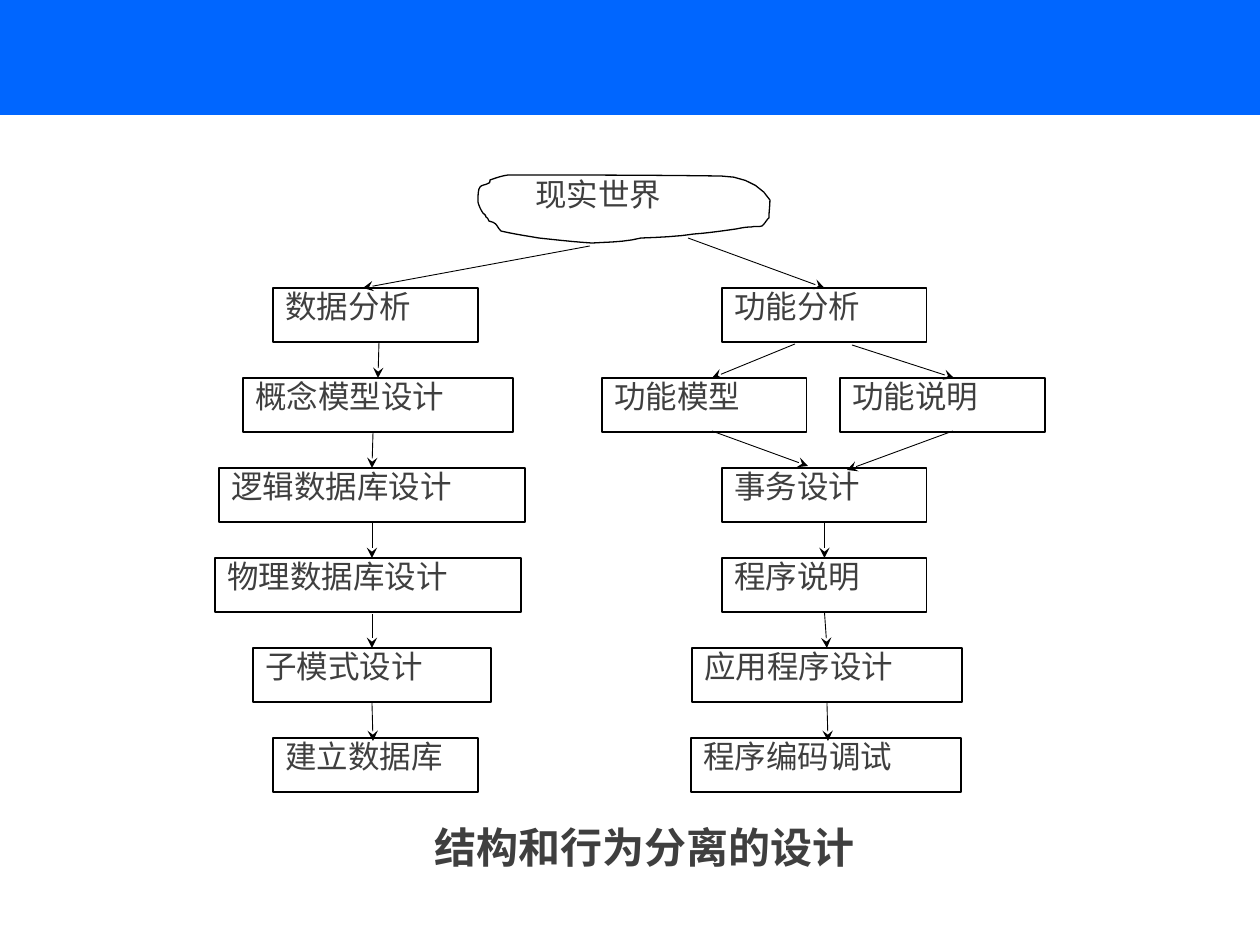
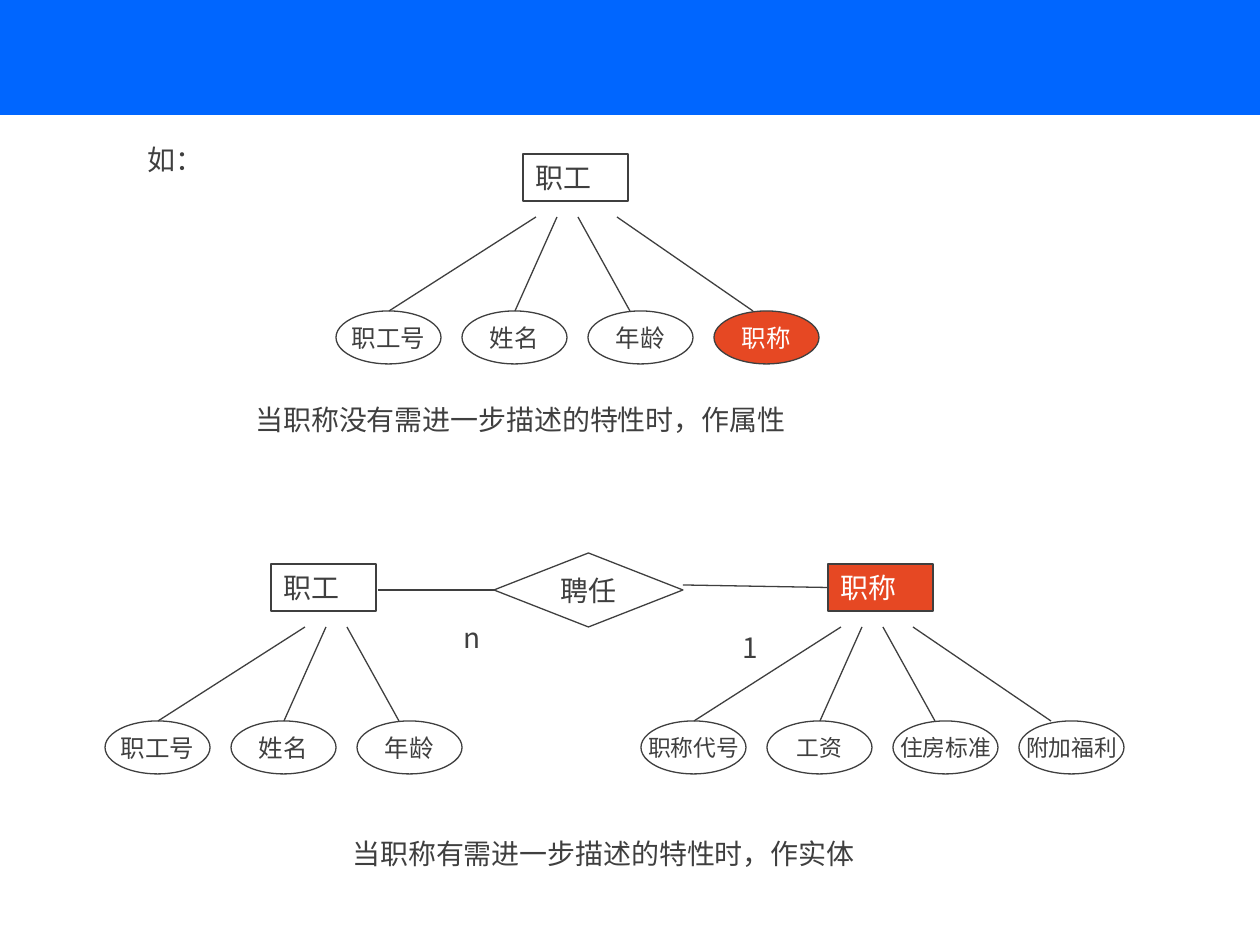
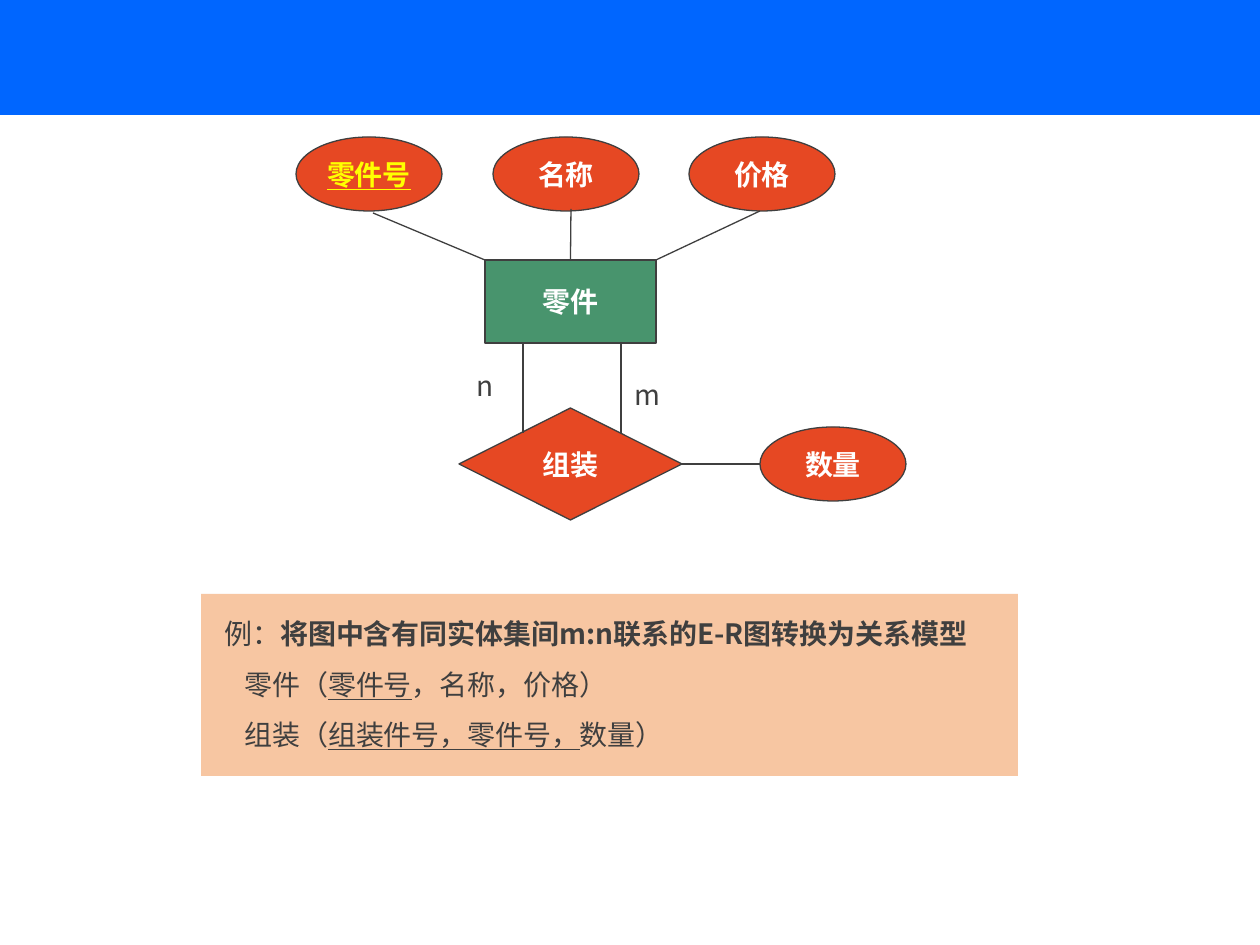
import pptx
import pptx.util
import pptx.dml.color
import pptx.enum.shapes
import pptx.enum.text
import pptx.oxml.ns
from lxml import etree

PX = 914400 // 126
DARK, BLACK, WHITE, YELLOW = "3F3F3F", "000000", "FFFFFF", "FFFF00"
BLUE, RED, GREEN, PEACH = "0066FF", "E64823", "48946D", "F7C6A2"
FONT = "Noto Sans CJK SC"

rgb = pptx.dml.color.RGBColor.from_string
qn = pptx.oxml.ns.qn
Pt = pptx.util.Pt
SHAPE = pptx.enum.shapes.MSO_SHAPE
ALIGN = pptx.enum.text.PP_ALIGN
ANCHOR = pptx.enum.text.MSO_ANCHOR


def box(s, kind, at, text="", fill=None, line=None, color=DARK, size=16,
        center=False, middle=False, wrap=True, spacing=None, **font):
    at = [v * PX for v in at]
    if kind is None:
        sp = s.shapes.add_textbox(*at)
    else:
        sp = s.shapes.add_shape(kind, *at)
        sp.shadow.inherit = False
        if fill:
            sp.fill.solid()
            sp.fill.fore_color.rgb = rgb(fill)
        else:
            sp.fill.background()
        if line:
            sp.line.color.rgb = rgb(line)
            sp.line.width = Pt(0.75)
        else:
            sp.line.fill.background()
    tf = sp.text_frame
    tf.word_wrap = wrap
    tf.vertical_anchor = ANCHOR.MIDDLE if middle else ANCHOR.TOP
    paragraphs = [[(text, {})]] if isinstance(text, str) else text
    for i, runs in enumerate(paragraphs):
        p = tf.add_paragraph() if i else tf.paragraphs[0]
        p.alignment = ALIGN.CENTER if center else ALIGN.LEFT
        if spacing:
            p.line_spacing = spacing
        for words, extra in runs:
            if not words:
                continue
            r = p.add_run()
            r.text = words
            for key, value in {"name": FONT, "size": Pt(size), **font, **extra}.items():
                setattr(r.font, key, value)
            r.font.color.rgb = rgb(color)
            etree.SubElement(r.font._element, qn("a:ea"), typeface=FONT)
    return sp


def link(s, x1, y1, x2, y2, color=DARK, width=0.75, arrow=False):
    straight = pptx.enum.shapes.MSO_CONNECTOR.STRAIGHT
    c = s.shapes.add_connector(straight, x1 * PX, y1 * PX, x2 * PX, y2 * PX)
    c.line.color.rgb = rgb(color)
    c.line.width = Pt(width)
    if arrow:
        etree.SubElement(c.line._get_or_add_ln(), qn("a:tailEnd"), type="stealth")
    etree.SubElement(c._element.spPr, qn("a:effectLst"))
    return c


prs = pptx.Presentation()
prs.slide_width = 1260 * PX
prs.slide_height = 945 * PX
slides = []
for _ in range(3):
    s = prs.slides.add_slide(prs.slide_layouts[6])
    box(s, SHAPE.RECTANGLE, (0, 0, 1260, 115), fill=BLUE)
    slides.append(s)

s = slides[0]
cloud = [
    (496, 178, 501, 176, 508, 175), (578, 175, 650, 175, 721, 176),
    (743, 176, 762, 186, 770, 200), (770, 207, 769, 212, 769, 218),
    (767, 219, 765, 224, 762, 226), (759, 227, 755, 226, 751, 227),
    (746, 227, 741, 228, 736, 229), (722, 231, 708, 233, 694, 234),
    (677, 237, 641, 238, 641, 238), (626, 242, 609, 242, 592, 243),
    (575, 242, 558, 240, 539, 238), (527, 236, 514, 234, 501, 231),
    (496, 226, 498, 223, 489, 221), (488, 219, 488, 218, 486, 217),
    (486, 215, 484, 214, 483, 213), (481, 210, 479, 206, 478, 202),
    (478, 198, 478, 193, 479, 189), (481, 184, 484, 186, 489, 183),
    (490, 183, 490, 181, 490, 180),
]
x, y = 490, 180
fb = s.shapes.build_freeform(x * PX, y * PX)
points = []
for x1, y1, x2, y2, x3, y3 in cloud:
    for t in (0.2, 0.4, 0.6, 0.8, 1):
        u = 1 - t
        a, b, c, d = u ** 3, 3 * u * u * t, 3 * u * t * t, t ** 3
        points.append((round((a * x + b * x1 + c * x2 + d * x3) * PX),
                       round((a * y + b * y1 + c * y2 + d * y3) * PX)))
    x, y = x3, y3
fb.add_line_segments(points, close=True)
sp = fb.convert_to_shape()
sp.shadow.inherit = False
sp.fill.background()
sp.line.color.rgb = rgb(BLACK)
sp.line.width = Pt(0.75)
box(s, None, (523, 176, 198, 66), "现实世界", size=18, spacing=0.8)

steps = [
    ("数据分析", 273, 0, 205), ("概念模型设计", 243, 1, 270),
    ("逻辑数据库设计", 219, 2, 306), ("物理数据库设计", 215, 3, 306),
    ("子模式设计", 253, 4, 238), ("建立数据库", 273, 5, 205),
    ("功能分析", 722, 0, 205), ("功能模型", 602, 1, 205),
    ("功能说明", 840, 1, 205), ("事务设计", 722, 2, 205),
    ("程序说明", 722, 3, 205), ("应用程序设计", 692, 4, 270),
    ("程序编码调试", 691, 5, 270),
]
boxes = {}
for name, x, row, w in steps:
    boxes[name] = box(s, SHAPE.RECTANGLE, (x, 288 + 90 * row, w, 54), name,
                      line=BLACK, size=18, spacing=0.8)

arrows = [
    (590, 246, 363, 288, None, None),
    (379, 342, 379, 378, None, "概念模型设计"),
    (373, 433, 373, 468, None, "逻辑数据库设计"),
    (372, 523, 372, 558, "逻辑数据库设计", None),
    (372, 614, 372, 648, None, "子模式设计"),
    (373, 704, 373, 741, "子模式设计", None),
    (688, 238, 823, 290, None, "功能分析"),
    (795, 344, 712, 378, None, None),
    (852, 345, 954, 378, None, None),
    (712, 431, 808, 466, None, None),
    (953, 431, 847, 470, None, None),
    (825, 522, 825, 558, "事务设计", "程序说明"),
    (826, 611, 826, 648, "程序说明", "应用程序设计"),
    (828, 704, 828, 741, "应用程序设计", None),
]
for x1, y1, x2, y2, start, end in arrows:
    c = link(s, x1, y1, x2, y2, BLACK, 0.5, True)
    if start:
        c.begin_connect(boxes[start], 2)
    if end:
        c.end_connect(boxes[end], 0)
box(s, None, (422, 815, 461, 63), "结构和行为分离的设计", size=24, middle=True,
    wrap=False, bold=True, name="Arial")

s = slides[1]
fans = [
    ("职工", 523, 154, None, 336, ("职工号", "姓名", "年龄", "职称"), 14, (281, 417)),
    ("职工", 271, 564, None, 105, ("职工号", "姓名", "年龄"), 14, None),
    ("职称", 828, 564, RED, 641, ("职称代号", "工资", "住房标准", "附加福利"), 13, (272, 410)),
]
for entity, ex, ey, fill, left, names, size, last in fans:
    owner = box(s, SHAPE.RECTANGLE, (ex, ey, 105, 47), entity, fill=fill, line=DARK,
                color=WHITE if fill else DARK)
    ends = [(200, 53), (221, 179), (242, 294), last]
    for i, (name, (x1, x2)) in enumerate(zip(names, ends[:len(names)])):
        hot = name == "职称"
        box(s, SHAPE.OVAL, (left + 126 * i, ey + 157, 105, 53), name,
            fill=RED if hot else WHITE, line=DARK, color=WHITE if hot else DARK,
            size=size, center=True, middle=True, wrap=False)
        link(s, left + x1, ey + 63, left + x2, ey + 157)
box(s, SHAPE.DIAMOND, (494, 553, 189, 74), "聘任", fill=WHITE, line=DARK,
    center=True, middle=True, wrap=False)
link(s, 378, 590, 494, 590)
link(s, 683, 585, 828, 585).end_connect(owner, 1)
for text, x, y, w in [("n", 451, 614, 49), ("1", 730, 624, 49)]:
    box(s, None, (x, y, w, 47), text)
captions = [
    ("如：", 135, 136, 81),
    ("当职称没有需进一步描述的特性时，作属性", 243, 396, 557),
    ("当职称有需进一步描述的特性时，作实体", 340, 830, 529),
]
for text, x, y, w in captions:
    box(s, None, (x, y, w, 47), text, wrap=False)

s = slides[2]
underlined = {"underline": True}
sp = box(s, SHAPE.RECTANGLE, (201, 594, 817, 182), [
    [("例：", {}), ("将图中含有同实体集间m:n联系的E-R图转换为关系模型", {"bold": True})],
    [("零件（", {}), ("零件号", underlined), ("，名称，价格）", {})],
    [("组装（", {}), ("组装件号，零件号，", underlined), ("数量）", {})],
], fill=PEACH, spacing=1.5)
sp.text_frame.auto_size = pptx.enum.text.MSO_AUTO_SIZE.TEXT_TO_FIT_SHAPE
for p, indent in zip(sp.text_frame.paragraphs, (-38, -18, -18)):
    pPr = p._p.get_or_add_pPr()
    pPr.set("marL", str(49 * PX))
    pPr.set("indent", str(indent * PX))

CONNECTOR = SHAPE.FLOWCHART_CONNECTOR
nodes = [
    ("组装", SHAPE.FLOWCHART_DECISION, 459, 408, 223, 112, RED),
    ("零件", SHAPE.FLOWCHART_PROCESS, 485, 260, 171, 83, GREEN),
    ("零件号", CONNECTOR, 296, 137, 146, 74, RED),
    ("名称", CONNECTOR, 493, 137, 146, 74, RED),
    ("价格", CONNECTOR, 689, 137, 146, 74, RED),
    ("数量", CONNECTOR, 760, 427, 146, 74, RED),
]
boxes = {}
for name, kind, x, y, w, h, fill in nodes:
    key = name == "零件号"
    boxes[name] = box(s, kind, (x, y, w, h), name, fill=fill, line=DARK,
                      color=YELLOW if key else WHITE, center=True, middle=True,
                      wrap=False, bold=True, underline=key)
edges = [
    (523, 433, 523, 342), (621, 433, 621, 342), (485, 260, 373, 213),
    (656, 260, 760, 211), (682, 464, 760, 464),
]
for edge in edges:
    link(s, *edge)
link(s, 571, 260, 571, 209).begin_connect(boxes["零件"], 0)
for text, x, y, w in [("n", 464, 362, 43), ("m", 622, 371, 60)]:
    box(s, None, (x, y, w, 47), text)

prs.save("out.pptx")
